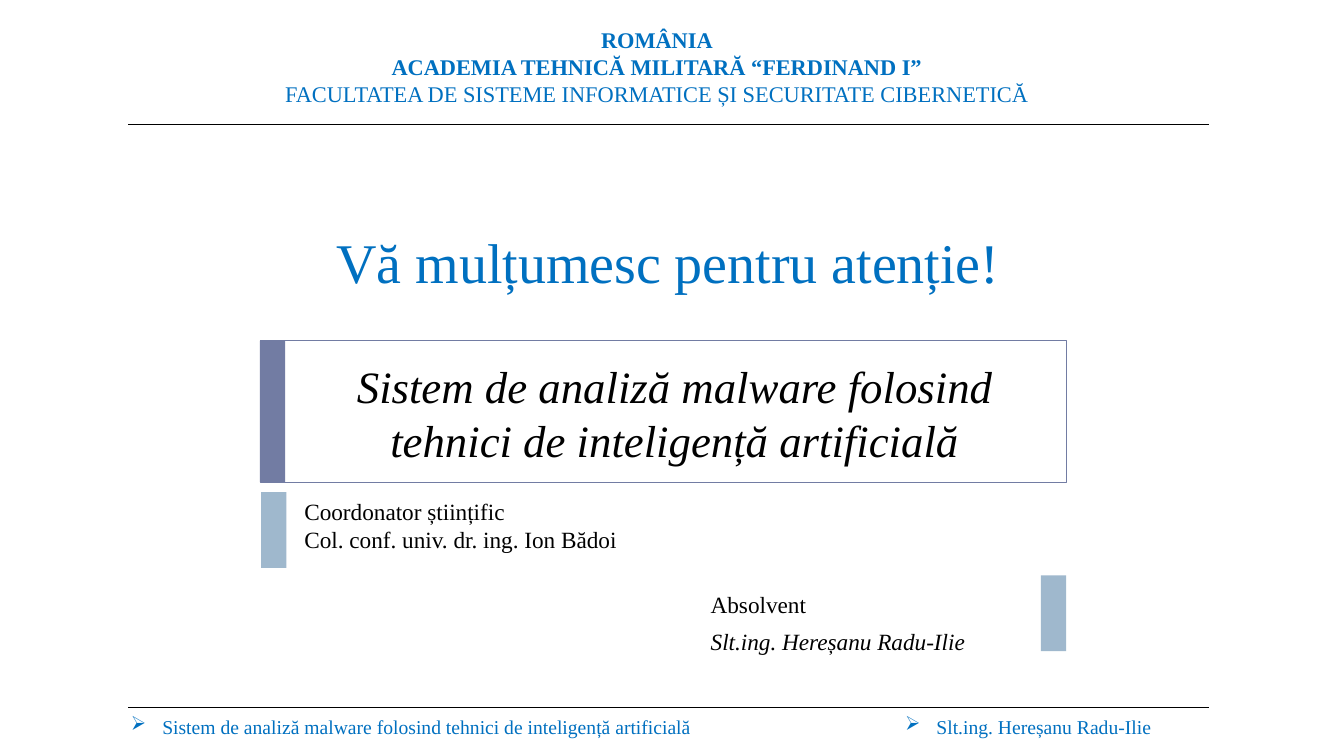
from dataclasses import dataclass

from lxml import etree
from pptx import Presentation
from pptx.dml.color import RGBColor
from pptx.enum.shapes import MSO_CONNECTOR, MSO_SHAPE
from pptx.enum.text import MSO_ANCHOR, PP_ALIGN
from pptx.oxml.ns import qn
from pptx.util import Cm, Pt

LEFT, CENTER = PP_ALIGN.LEFT, PP_ALIGN.CENTER
TOP, MIDDLE = MSO_ANCHOR.TOP, MSO_ANCHOR.MIDDLE
RECTANGLE, STRAIGHT = MSO_SHAPE.RECTANGLE, MSO_CONNECTOR.STRAIGHT

THESIS = "Sistem de analiză malware folosind tehnici de inteligență artificială"
GRADUATE = "Slt.ing. Hereșanu Radu-Ilie"


@dataclass(frozen=True)
class Theme:
    """Colours, font and type sizes of the slide."""
    font: str = "Times New Roman"
    blue: RGBColor = RGBColor(0x00, 0x70, 0xC0)
    black: RGBColor = RGBColor(0x00, 0x00, 0x00)
    violet: RGBColor = RGBColor(0x72, 0x7C, 0xA3)
    pale: RGBColor = RGBColor(0x9F, 0xB8, 0xCD)
    footer: float = 14
    header: float = 16
    people: float = 16.6
    thesis: float = 32
    thanks: float = 40
    rule: float = 0.4
    frame: float = 0.5


THEME = Theme()


def add_bullet(paragraph, character, indent):
    """Give the paragraph a hanging bullet."""
    properties = paragraph._p.get_or_add_pPr()
    properties.set("marL", str(indent))
    properties.set("indent", str(-indent))
    etree.SubElement(properties, qn("a:buChar")).set("char", character)


def add_text(slide, box, lines, size, color=THEME.black, align=LEFT, anchor=TOP,
             bold=(), italic=(), space_before=0, bullet=None, wrap=True):
    """Add a text box; bold and italic hold the indexes of the lines they apply to."""
    frame = slide.shapes.add_textbox(*map(Cm, box)).text_frame
    frame.word_wrap = wrap
    frame.vertical_anchor = anchor
    for index, line in enumerate(lines):
        paragraph = frame.paragraphs[0] if index == 0 else frame.add_paragraph()
        paragraph.alignment = align
        if index and space_before:
            paragraph.space_before = Pt(space_before)
        if bullet:
            add_bullet(paragraph, bullet, Cm(0.79))
        run = paragraph.add_run()
        run.text = line
        run.font.name = THEME.font
        run.font.size = Pt(size)
        run.font.color.rgb = color
        run.font.bold = index in bold
        run.font.italic = index in italic


def add_rule(slide, left, top, width):
    """Draw a thin horizontal rule."""
    rule = slide.shapes.add_connector(
        STRAIGHT, Cm(left), Cm(top), Cm(left + width), Cm(top))
    rule.line.color.rgb = THEME.black
    rule.line.width = Pt(THEME.rule)
    etree.SubElement(rule._element.spPr, qn("a:effectLst"))


def add_rectangle(slide, box, fill=None, line=None):
    """Draw a rectangle with an optional fill and outline."""
    shape = slide.shapes.add_shape(RECTANGLE, *map(Cm, box))
    shape.shadow.inherit = False
    if fill is None:
        shape.fill.background()
    else:
        shape.fill.solid()
        shape.fill.fore_color.rgb = fill
    if line is None:
        shape.line.fill.background()
    else:
        shape.line.color.rgb = line
        shape.line.width = Pt(THEME.frame)


def add_header(slide, left, top, width):
    """Place the institution's name above a rule."""
    add_text(slide, (left + 2.43, top, 21.79, 2.31),
             ["ROMÂNIA", "ACADEMIA TEHNICĂ MILITARĂ “FERDINAND I”",
              "FACULTATEA DE SISTEME INFORMATICE ȘI SECURITATE CIBERNETICĂ"],
             THEME.header, THEME.blue, CENTER, bold=(0, 1))
    add_rule(slide, left, top + 2.6, width)


def add_thesis(slide, left, top, width, height):
    """Place the framed thesis title with its accent bar."""
    add_text(slide, (left + 0.87, top + 0.2, width - 1.14, height - 0.36),
             [THESIS], THEME.thesis, align=CENTER, anchor=MIDDLE, italic=(0,))
    add_rectangle(slide, (left, top, width, height), line=THEME.violet)
    add_rectangle(slide, (left, top, 0.64, height), fill=THEME.violet)


def add_people(slide, left, top, width, height):
    """Place coordinator and graduate beside bars at opposite corners."""
    bar_width, bar_height = 0.64, 1.91
    add_text(slide, (left + 0.84, top, 10.5, bar_height),
             ["Coordonator științific", "Col. conf. univ. dr. ing. Ion Bădoi"],
             THEME.people)
    add_text(slide, (left + 11.08, top + 2.36, 8.4, bar_height),
             ["Absolvent", GRADUATE], THEME.people, italic=(1,), space_before=6)
    for bar_left, bar_top in ((left, top),
                              (left + width - bar_width, top + height - bar_height)):
        add_rectangle(slide, (bar_left, bar_top, bar_width, bar_height), fill=THEME.pale)


def add_footer(slide, left, top, width):
    """Place the bulleted thesis title and author under a rule."""
    add_rule(slide, left, top, width)
    for offset, text_width, text in ((-0.18, 15.82, THESIS), (19.33, 7.9, GRADUATE)):
        add_text(slide, (left + offset, top + 0.05, text_width, 0.86), [text],
                 THEME.footer, THEME.blue, bullet="➢")


def main():
    """Build the closing slide and save it."""
    presentation = Presentation()
    presentation.slide_width, presentation.slide_height = Cm(33.87), Cm(19.05)
    slide = presentation.slides.add_slide(presentation.slide_layouts[6])
    add_footer(slide, 3.23, 17.83, 27.23)
    add_header(slide, 3.23, 0.53, 27.23)
    add_text(slide, (8.23, 5.61, 17.42, 1.96), ["Vă mulțumesc pentru atenție!"],
             THEME.thanks, THEME.blue, wrap=False)
    add_thesis(slide, 6.55, 8.59, 20.32, 3.56)
    add_people(slide, 6.58, 12.4, 20.29, 4.01)
    presentation.save("out.pptx")


if __name__ == "__main__":
    main()
